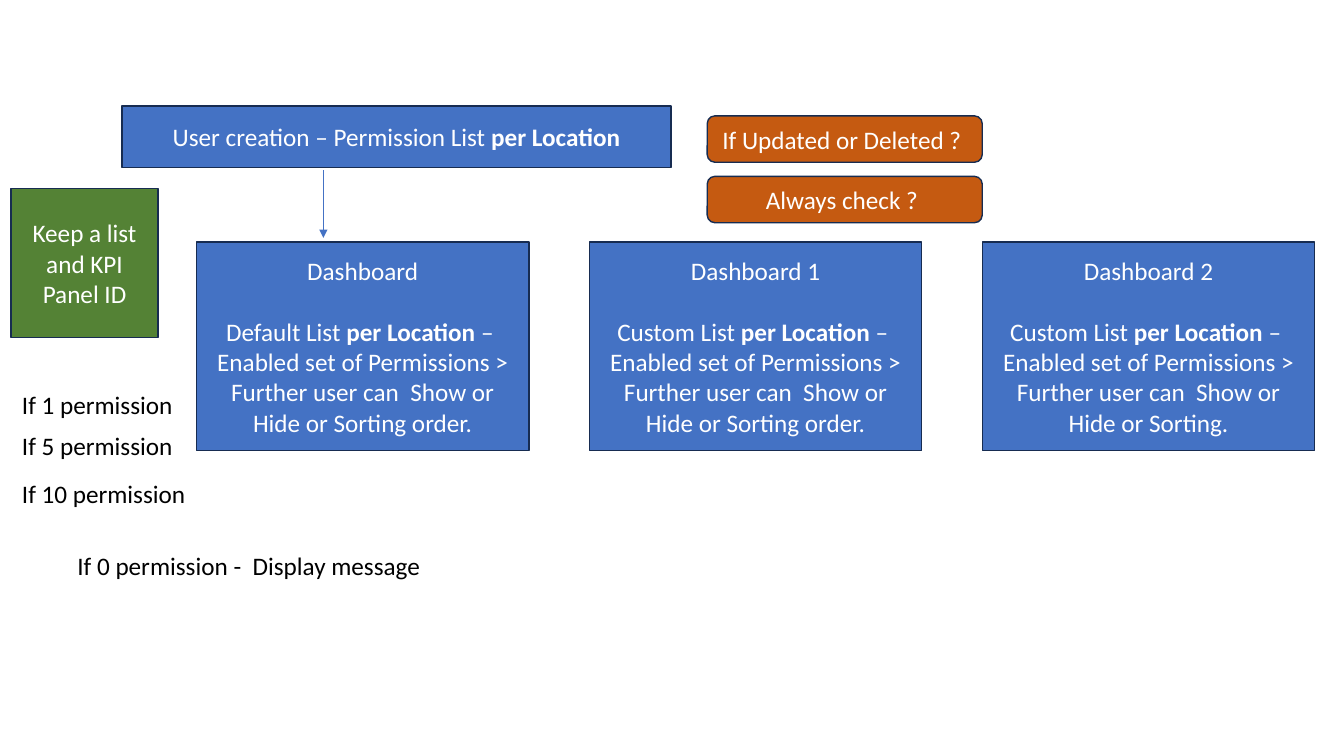
from lxml import etree
from pptx import Presentation
from pptx.dml.color import RGBColor
from pptx.enum.shapes import MSO_CONNECTOR, MSO_SHAPE
from pptx.enum.text import MSO_ANCHOR, PP_ALIGN
from pptx.oxml.ns import qn
from pptx.util import Pt

RECT, ROUND = MSO_SHAPE.RECTANGLE, MSO_SHAPE.ROUNDED_RECTANGLE
LINE = MSO_CONNECTOR.STRAIGHT
LEFT, CENTER = PP_ALIGN.LEFT, PP_ALIGN.CENTER
TOP, MIDDLE = MSO_ANCHOR.TOP, MSO_ANCHOR.MIDDLE
SCALE = 9144  # EMU per px, 100 px to the inch
BLUE, NAVY, ORANGE, GREEN = "4472C4", "172C51", "C55A11", "548235"
WHITE, BLACK = "FFFFFF", "000000"


def px(*nums):
    return [n * SCALE for n in nums]


def paint(fill, color):
    fill.solid()
    fill.fore_color.rgb = RGBColor.from_string(color)


def write(frame, text, font="Calibri", size=18, color=WHITE, align=CENTER,
          anchor=MIDDLE, gap=0):
    """Fill a frame; ** toggles bold, gap is the space after the first line."""
    frame.word_wrap = True
    frame.vertical_anchor = anchor
    for i, line in enumerate(text.split("\n")):
        para = frame.add_paragraph() if i else frame.paragraphs[0]
        para.alignment = align
        if gap and i == 0:
            para.space_after = Pt(gap)
        for j, part in enumerate(line.split("**")):
            run = para.add_run()
            run.text = part
            run.font.name, run.font.size = font, Pt(size)
            run.font.bold = j % 2 == 1
            paint(run.font.fill, color)


class Board:
    def __init__(self, slide, edge=NAVY):
        self.slide, self.edge = slide, edge

    def box(self, area, text, fill=BLUE, kind=RECT, **style):
        shape = self.slide.shapes.add_shape(kind, *px(*area))
        shape.shadow.inherit = False
        paint(shape.fill, fill)
        paint(shape.line.fill, self.edge)
        shape.line.width = Pt(1)
        write(shape.text_frame, text, **style)

    def note(self, area, text):
        frame = self.slide.shapes.add_textbox(*px(*area)).text_frame
        write(frame, text, color=BLACK, align=LEFT, anchor=TOP)

    def arrow(self, start, end):
        link = self.slide.shapes.add_connector(LINE, *px(*start, *end))
        paint(link.line.fill, BLUE)
        link.line.width = Pt(0.5)
        props = link._element.spPr
        etree.SubElement(props.find(qn("a:ln")), qn("a:tailEnd"),
                         type="triangle")
        etree.SubElement(props, qn("a:effectLst"))


def main():
    deck = Presentation()
    deck.slide_width, deck.slide_height = px(1334, 750)
    board = Board(deck.slides.add_slide(deck.slide_layouts[6]))

    # User creation and its arrow
    board.box((121, 105, 545, 61),
              "User creation – Permission List **per Location**")
    board.arrow((321, 169), (321, 236))

    # Dashboards
    dashes = [("Dashboard", "Default", "Sorting order."),
              ("Dashboard 1", "Custom", "Sorting order."),
              ("Dashboard 2", "Custom", "Sorting.")]
    for i, (name, kind, last) in enumerate(dashes):
        board.box((195 + 390 * i, 240, 330, 207),
                  f"{name}\n{kind} List **per Location** –  Enabled set of "
                  f"Permissions >\nFurther user can  Show or Hide or {last}",
                  gap=22)

    # Open questions
    for i, ask in enumerate(["If Updated or Deleted ? ", "Always check ? "]):
        board.box((702, 115 + 60 * i, 273, 46), ask, fill=ORANGE, kind=ROUND)

    # Panel list
    board.box((11, 187, 146, 148), "Keep a list and KPI Panel ID", fill=GREEN)

    # Permission cases
    for count, top in [(1, 381), (5, 422), (10, 470)]:
        board.note((12, top, 183, 40), f"If {count} permission")
    board.note((67, 541, 561, 40), "If 0 permission -  Display message")

    deck.save("out.pptx")


if __name__ == "__main__":
    main()
